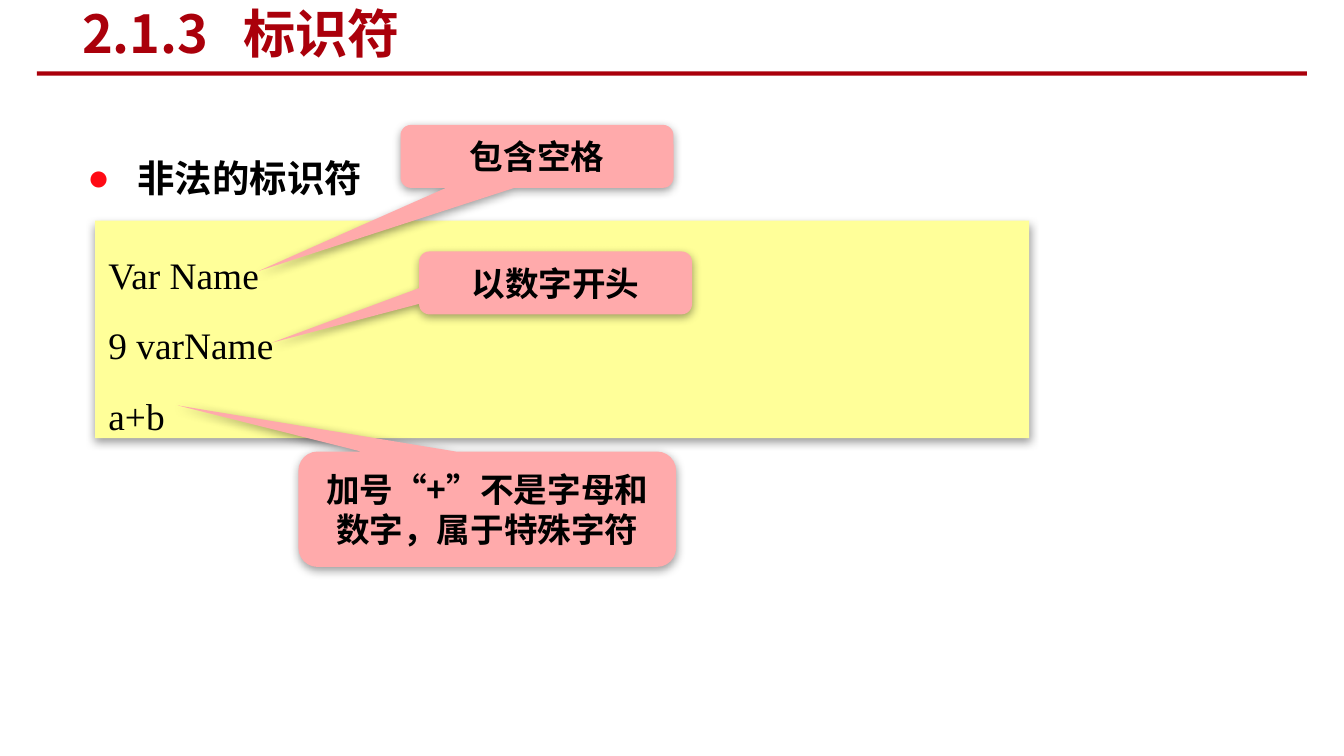
from lxml import etree
from pptx import Presentation
from pptx import util as u
from pptx.dml.color import RGBColor
from pptx.enum import shapes, text
from pptx.oxml import parse_xml
from pptx.oxml.ns import nsdecls, qn

CHINESE = "Noto Sans CJK SC"
SHADOW = f"""<a:effectLst {nsdecls('a')}>
  <a:outerShdw blurRad="63500" dist="20320" dir="5400000" rotWithShape="0">
    <a:srgbClr val="000000"><a:alpha val="38000"/></a:srgbClr>
  </a:outerShdw>
</a:effectLst>"""


def fill_shape(shape, color, shadow=True):
    shape.shadow.inherit = False
    shape.fill.solid()
    shape.fill.fore_color.rgb = RGBColor.from_string(color)
    shape.line.fill.background()
    if shadow:
        properties = shape.fill._xPr
        properties.replace(properties.find(qn("a:effectLst")), parse_xml(SHADOW))


def format_text(frame, size, color="000000", name=CHINESE, bold=True):
    for para in frame.paragraphs:
        for span in para.runs:
            span.font.size = u.Pt(size)
            span.font.name = name
            span.font.bold = bold
            span.font.color.rgb = RGBColor.from_string(color)
            east_asian = etree.SubElement(span.font._element, qn("a:ea"))
            east_asian.set("typeface", name)


deck = Presentation()
deck.slide_width, deck.slide_height = u.Cm(25.4), u.Cm(14.28)
page = deck.slides.add_slide(deck.slide_layouts[5])

# Title and the rule below it
rule = page.shapes.add_shape(shapes.MSO_SHAPE.RECTANGLE,
                             u.Cm(0.7), u.Cm(1.35), u.Cm(24), u.Cm(0.08))
fill_shape(rule, "AA000B", shadow=False)

title = page.shapes.title
title.left, title.top, title.width, title.height = u.Cm(1.3), u.Cm(0.05), u.Cm(13.46), u.Cm(1.14)
title.text_frame.text = "2.1.3\t标识符"
title.text_frame.vertical_anchor = text.MSO_ANCHOR.MIDDLE
para = title.text_frame.paragraphs[0]
para.alignment = text.PP_ALIGN.LEFT
para._p.get_or_add_pPr().append(parse_xml(
    f'<a:tabLst {nsdecls("a")}><a:tab pos="{u.Cm(3.05)}" algn="l"/></a:tabLst>'))
format_text(title.text_frame, 28, "AA000B")

# Yellow box with the invalid names
names = page.shapes.add_textbox(u.Cm(1.8), u.Cm(4.17), u.Cm(17.65), u.Cm(4.11))
fill_shape(names, "FFFF99")
names.text_frame.word_wrap = True
names.text_frame.margin_top = u.Cm(0.17)
names.text_frame.text = "Var Name\n9 varName\na+b"
for index, para in enumerate(names.text_frame.paragraphs):
    para.line_spacing = 1.5
    para.space_before = u.Pt(1.7 if index else 0)
format_text(names.text_frame, 20, name="Times New Roman", bold=False)

# Bulleted heading
heading = page.shapes.add_textbox(u.Cm(1.4), u.Cm(2.39), u.Cm(22.8), u.Cm(1.78))
heading.text_frame.word_wrap = True
heading.text_frame.text = "非法的标识符"
para = heading.text_frame.paragraphs[0]
para.line_spacing = 1.5
properties = para._p.get_or_add_pPr()
properties.set("marL", str(u.Cm(0.95)))
properties.set("indent", str(u.Cm(-0.95)))
for bullet in ('buClr {}><a:srgbClr val="FF0A14"/></a:buClr>',
               'buFont {} typeface="Arial"/>',
               'buChar {} char="●"/>'):
    properties.append(parse_xml("<a:" + bullet.format(nsdecls("a"))))
format_text(heading.text_frame, 20)

# Callouts: wording, left, top, width, height, pointer offset
callouts = [
    ("包含空格", 7.57, 2.36, 5.16, 1.19, (-1.02, 1.82)),
    ("以数字开头", 7.92, 4.75, 5.16, 1.19, (-1.04, 0.95)),
    ("加号“+”不是字母和数字，属于特殊字符", 5.64, 8.53, 7.14, 2.18, (-0.82, -0.9)),
]
for wording, left, top, width, height, pointer in callouts:
    callout = page.shapes.add_shape(shapes.MSO_SHAPE.ROUNDED_RECTANGULAR_CALLOUT,
                                    u.Cm(left), u.Cm(top), u.Cm(width), u.Cm(height))
    callout.adjustments[0], callout.adjustments[1] = pointer
    fill_shape(callout, "FFAAAB")
    callout.text_frame.word_wrap = True
    callout.text_frame.text = wording
    callout.text_frame.vertical_anchor = text.MSO_ANCHOR.MIDDLE
    callout.text_frame.paragraphs[0].alignment = text.PP_ALIGN.CENTER
    format_text(callout.text_frame, 18)

deck.save("out.pptx")
